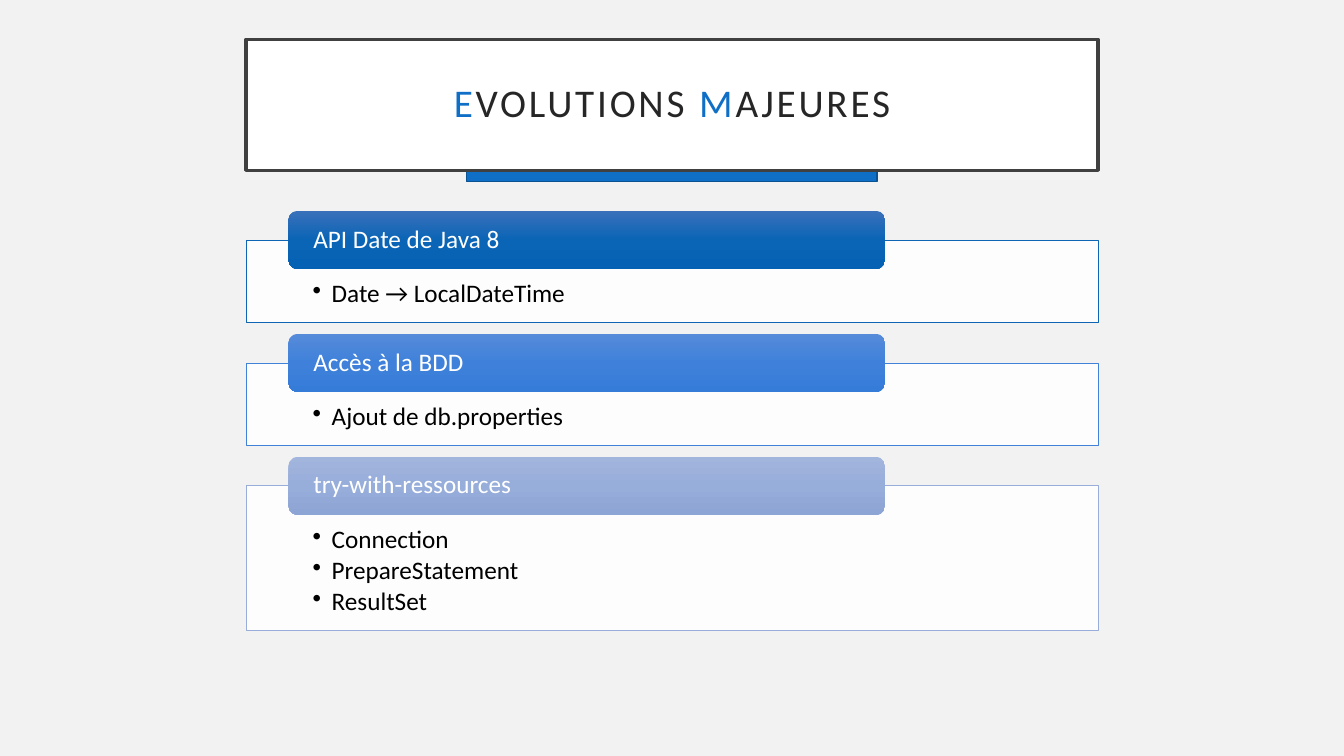
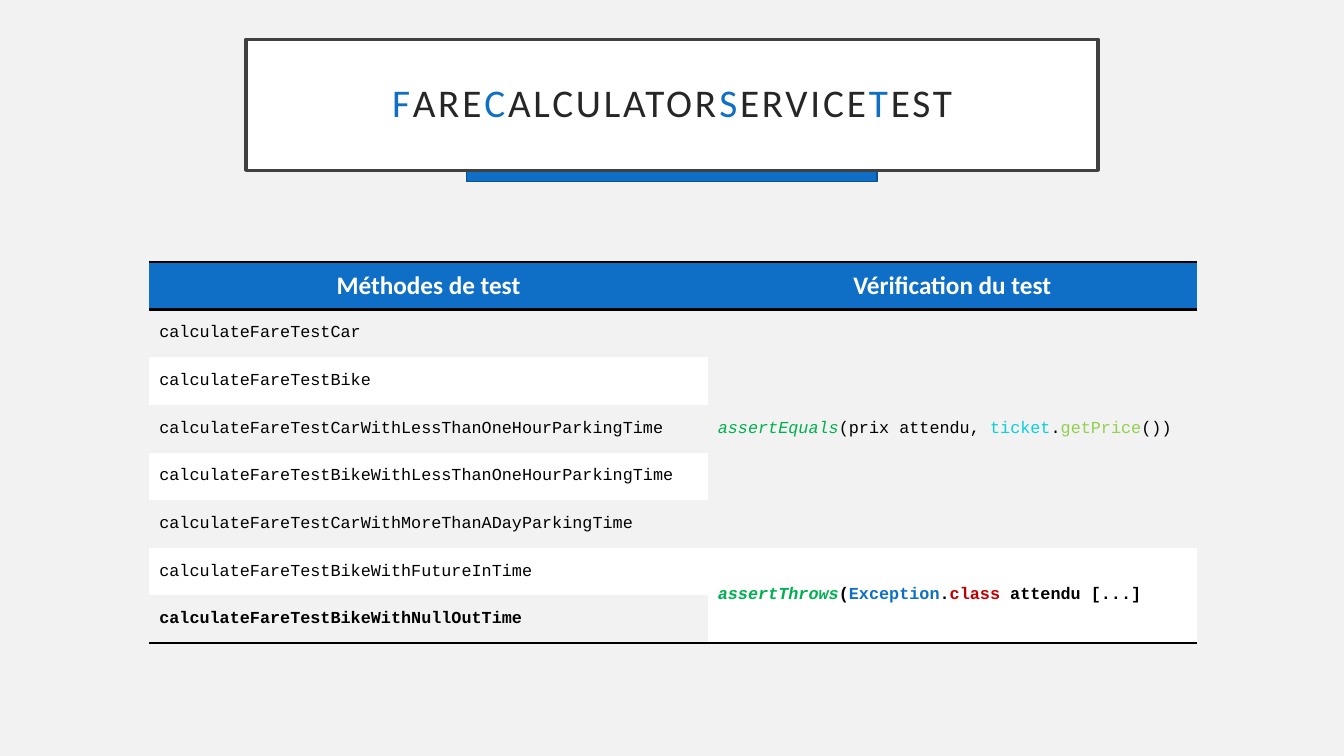
from copy import deepcopy

from pptx import Presentation
from pptx.dml.color import RGBColor
from pptx.enum.shapes import MSO_SHAPE
from pptx.enum.text import MSO_ANCHOR, MSO_AUTO_SIZE, PP_ALIGN
from pptx.oxml import parse_xml
from pptx.oxml.ns import nsdecls, qn
from pptx.util import Pt

RECT, ROUND = MSO_SHAPE.RECTANGLE, MSO_SHAPE.ROUNDED_RECTANGLE
TOP, MIDDLE = MSO_ANCHOR.TOP, MSO_ANCHOR.MIDDLE
LEFT, CENTER = PP_ALIGN.LEFT, PP_ALIGN.CENTER
FIXED = MSO_AUTO_SIZE.NONE
TITLE_ONLY = 5
PLAIN_TABLE = "{2D5ABB26-0587-4C30-8999-92F81FD0307C}"

# Colours and fonts
hue = RGBColor.from_string
PAPER, WHITE, BLACK = hue("F2F2F2"), hue("FFFFFF"), hue("000000")
BLUE, NAVY = hue("0F6FC6"), hue("0B5292")
FRAME, INK = hue("404040"), hue("262626")
GREEN, CYAN, LIME, RED = hue("00B050"), hue("0BD0D9"), hue("92D050"), hue("C00000")
SANS, MONO = "Calibri", "Courier New"

# Content: titles are pairs of (accented initial, rest)
CHANGES = [("E", "VOLUTIONS "), ("M", "AJEURES")]
TESTS = [("F", "ARE"), ("C", "ALCULATOR"), ("S", "ERVICE"), ("T", "EST")]

# Heading, bullets, panel height, line colour, gradient of the tab
PANELS = [
    ("API Date de Java 8", ["Date → LocalDateTime"], 82,
     "0E65B4", ("3A70BA", "0B65B6", "0561B4")),
    ("Accès à la BDD", ["Ajout de db.properties"], 82,
     "4181D8", ("568BDA", "3F81DA", "357BD8")),
    ("try-with-ressources", ["Connection", "PrepareStatement", "ResultSet"], 143,
     "98ADD9", ("A2B5DC", "97ADDA", "8DA5D4")),
]

HEADS = ["Méthodes de test", "Vérification du test"]
METHODS = [
    "calculateFareTestCar",
    "calculateFareTestBike",
    "calculateFareTestCarWithLessThanOneHourParkingTime",
    "calculateFareTestBikeWithLessThanOneHourParkingTime",
    "calculateFareTestCarWithMoreThanADayParkingTime",
    "calculateFareTestBikeWithFutureInTime",
    "calculateFareTestBikeWithNullOutTime",
]
# First row, last row, fill, bold, coloured runs
CHECKS = [
    (1, 5, PAPER, False, [
        ("assertEquals", GREEN, True), ("(prix attendu, ", BLACK), ("ticket", CYAN),
        (".", BLACK), ("getPrice", LIME), ("())", BLACK)]),
    (6, 7, WHITE, True, [
        ("assertThrows", GREEN, True), ("(", BLACK), ("Exception", BLUE),
        (".", BLACK), ("class", RED), (" attendu [...]", BLACK)]),
]

# Layout in px, 100 to the inch
WIDE, HIGH = 1333, 750
BAR = (463, 158, 407, 22)
TITLE = (244, 39, 845, 130)
PANEL_X, PANEL_Y, PANEL_W, GAP = 244, 238, 845, 40
TAB_X, TAB_W, TAB_H = 286, 592, 58
INDENT = 19
GRID = (148, 260, 1039, 378)
COLS = (554, 485)


def px(num):
    return round(num * 9144)


def write(frame, paras, size=18, font=SANS, color=BLACK, bold=False, align=LEFT,
          anchor=MIDDLE, insets=None, leading=None, after=None):
    """Fill a text frame or cell; a paragraph is a string or a list of runs."""
    text = getattr(frame, "text_frame", frame)
    text.word_wrap = True
    if insets:
        text.auto_size = FIXED
        text.vertical_anchor = anchor
        (text.margin_left, text.margin_top,
         text.margin_right, text.margin_bottom) = map(px, insets)
    else:
        frame.vertical_anchor = anchor
    for num, runs in enumerate(paras):
        para = text.add_paragraph() if num else text.paragraphs[0]
        para.alignment = align
        if leading:
            para.line_spacing = leading
        if after:
            para.space_after = Pt(after)
        for part, tint, *slant in [(runs, color)] if isinstance(runs, str) else runs:
            run = para.add_run()
            run.text = part
            face = run.font
            face.name, face.size, face.bold = font, Pt(size), bold
            face.italic = bool(slant)
            face.color.rgb = tint


def paint(shape, fill, line=None, width=1):
    """One colour fills evenly; a tuple of hex strings makes a gradient."""
    shape.shadow.inherit = False
    if isinstance(fill, RGBColor):
        shade(shape, fill)
    else:
        blend(shape, fill)
    if line is None:
        shape.line.fill.background()
    else:
        shape.line.color.rgb = line
        shape.line.width = Pt(width)


def shade(part, tint):
    part.fill.solid()
    part.fill.fore_color.rgb = tint


def blend(shape, tints):
    """Vertical gradient with evenly spaced stops."""
    fill = shape.fill
    fill.gradient()
    fill.gradient_angle = 270
    stops = next(shape.element.iter(qn("a:gsLst")))
    while len(stops) < len(tints):
        stops.insert(1, deepcopy(stops[0]))
    for num, (stop, tint) in enumerate(zip(fill.gradient_stops, tints)):
        stop.color.rgb = hue(tint)
        stop.position = num / (len(tints) - 1)


def box(slide, kind, area, *look):
    shape = slide.shapes.add_shape(kind, *map(px, area))
    paint(shape, *look)
    return shape


def start(deck, words):
    """New slide with the framed title over its blue bar."""
    slide = deck.slides.add_slide(deck.slide_layouts[TITLE_ONLY])
    title = slide.shapes.title
    title.left, title.top, title.width, title.height = map(px, TITLE)
    paint(title, WHITE, FRAME, 2.5)
    runs = [run for cap, rest in words for run in ((cap, BLUE), (rest, INK))]
    write(title.text_frame, [runs], size=28, align=CENTER, leading=0.9,
          insets=(20, 20, 20, 20))
    for props in title.element.iter(qn("a:rPr")):
        props.set("spc", "200")
    bar = box(slide, RECT, BAR, BLUE, NAVY)
    title.element.addprevious(bar.element)
    return slide


def add_panels(slide):
    y = PANEL_Y
    for head, items, high, line, tints in PANELS:
        panel = box(slide, RECT, (PANEL_X, y, PANEL_W, high), WHITE, hue(line), 0.5)
        clear = parse_xml(f'<a:alpha {nsdecls("a")} val="90000"/>')
        next(panel.element.iter(qn("a:srgbClr"))).append(clear)
        write(panel.text_frame, items, anchor=TOP, insets=(66, 41, 66, 14),
              leading=0.9, after=2.7)
        for props in panel.element.iter(qn("a:pPr")):
            props.set("marL", str(px(INDENT)))
            props.set("indent", str(-px(INDENT)))
            props.append(parse_xml(f'<a:buChar {nsdecls("a")} char="•"/>'))
        tab = box(slide, ROUND, (TAB_X, y - TAB_H // 2, TAB_W, TAB_H), tints)
        write(tab.text_frame, [head], color=WHITE, insets=(22, 0, 22, 0), leading=0.9)
        y += high + GAP


def rule(cell, *sides):
    """Black 2 pt borders, placed ahead of the cell fill."""
    props = cell.get_or_add_tcPr()
    for num, side in enumerate(sides):
        props.insert(num, parse_xml(
            f'<a:ln{side} {nsdecls("a")} w="{int(Pt(2))}"><a:solidFill>'
            f'<a:srgbClr val="{BLACK}"/></a:solidFill></a:ln{side}>'))


def add_grid(slide):
    count = len(METHODS) + 1
    frame = slide.shapes.add_table(count, len(COLS), *map(px, GRID))
    next(frame.element.iter(qn("a:tableStyleId"))).text = PLAIN_TABLE
    table = frame.table
    table.horz_banding = False
    for col, wide in zip(table.columns, COLS):
        col.width = px(wide)
    for row in table.rows:
        row.height = px(GRID[3] / count)

    # Header and method names
    for num, head in enumerate(HEADS):
        cell = table.cell(0, num)
        shade(cell, BLUE)
        write(cell, [head], color=WHITE, bold=True, align=CENTER)
    for num, name in enumerate(METHODS, 1):
        cell = table.cell(num, 0)
        shade(cell, PAPER if num % 2 else WHITE)
        write(cell, [name], size=12, font=MONO, bold=num == len(METHODS))

    # Merged checks
    for first, last, tint, bold, runs in CHECKS:
        for num in range(first, last + 1):
            shade(table.cell(num, 1), tint)
        cell = table.cell(first, 1)
        cell.merge(table.cell(last, 1))
        write(cell, [runs], size=12, font=MONO, bold=bold)

    # Rules around the header and under the table
    rows = [list(row.iter(qn("a:tc"))) for row in frame.element.iter(qn("a:tr"))]
    for cell in rows[0]:
        rule(cell, "T", "B")
    for cell in rows[-1] + [rows[CHECKS[-1][0]][1]]:
        rule(cell, "B")


def main():
    deck = Presentation()
    deck.slide_width, deck.slide_height = px(WIDE), px(HIGH)
    back = deck.slide_master.background.fill
    back.solid()
    back.fore_color.rgb = PAPER
    add_panels(start(deck, CHANGES))
    add_grid(start(deck, TESTS))
    deck.save("out.pptx")


if __name__ == "__main__":
    main()
